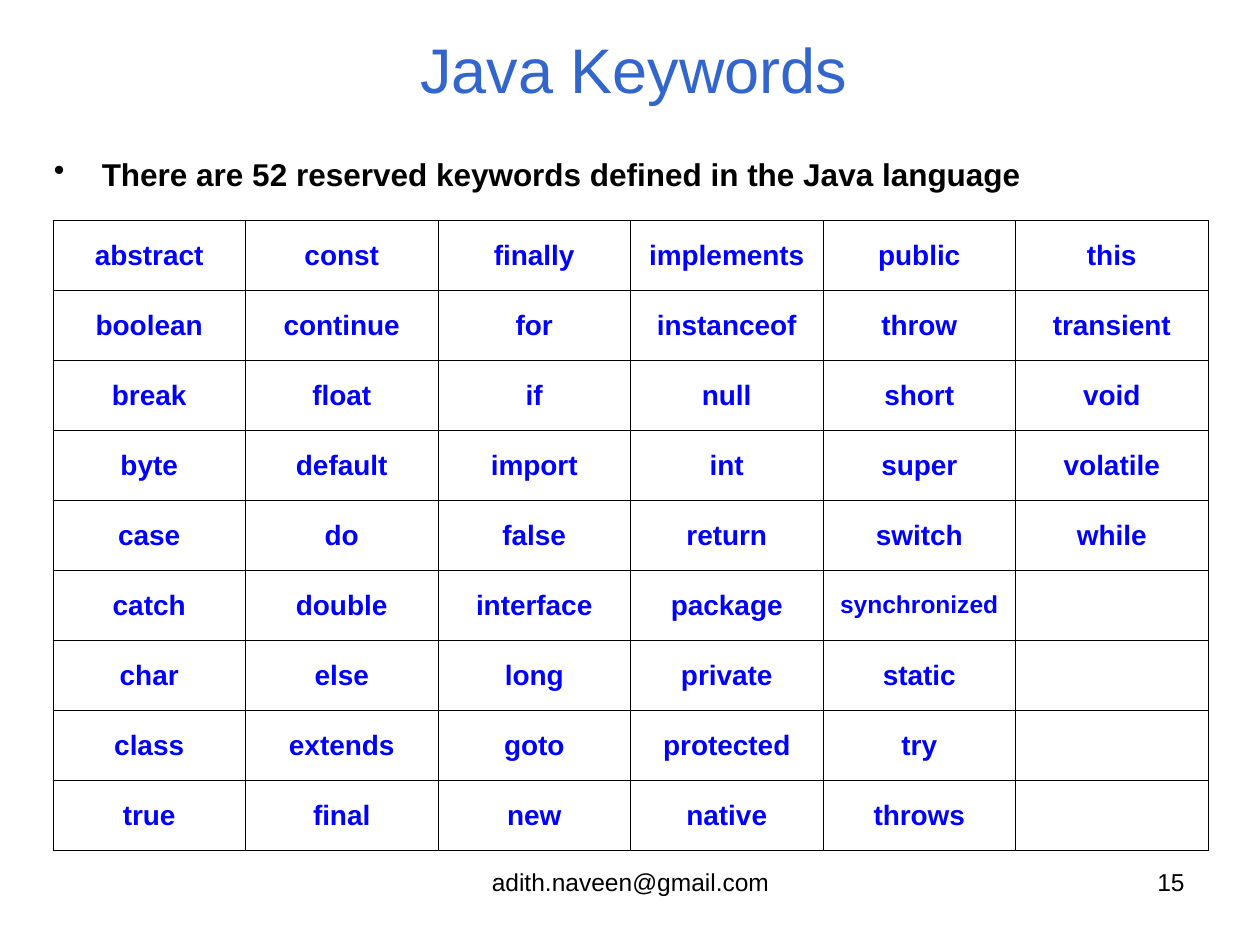
from pptx import Presentation, util as u
from pptx.dml.color import RGBColor
from pptx.enum import text
from pptx.oxml import parse_xml
from pptx.oxml.ns import nsdecls

KEYWORD_ROWS = """
abstract const finally implements public this
boolean continue for instanceof throw transient
break float if null short void
byte default import int super volatile
case do false return switch while
catch double interface package synchronized
char else long private static
class extends goto protected try
true final new native throws
"""
ALIGN = text.PP_ALIGN


def colour(value):
    return RGBColor.from_string(value)


def write(frame, words, size=16, fill="000000", bold=False, align=ALIGN.LEFT,
          anchor=text.MSO_ANCHOR.TOP, font="Arial", bullet=None, line_spacing=None):
    """Put one formatted paragraph, bulleted if asked, into a text frame."""
    frame.word_wrap = True
    frame.vertical_anchor = anchor
    para = frame.paragraphs[0]
    para.alignment = align
    if line_spacing:
        para.line_spacing = line_spacing
    if bullet:
        props = para._p.get_or_add_pPr()
        indent = u.Inches(0.38)
        props.set("marL", str(indent))
        props.set("indent", str(-indent))
        props.append(parse_xml(f'<a:buChar {nsdecls("a")} char="{bullet}"/>'))
    span = para.add_run()
    span.text = words
    span.font.name = font
    span.font.size = u.Pt(size)
    span.font.bold = bold
    span.font.color.rgb = colour(fill)


class Slide:
    def __init__(self, deck, font="Arial", accent="0000FF", border="000000"):
        self.page = deck.slides.add_slide(deck.slide_layouts[6])
        self.font, self.accent, self.border = font, accent, border

    def label(self, words, left, top, width, height, **style):
        box = self.page.shapes.add_textbox(
            *(u.Inches(n) for n in (left, top, width, height)))
        write(box.text_frame, words, font=self.font, **style)

    def outline(self, cell, width=0.45):
        props = cell._tc.get_or_add_tcPr()
        for side in "LRTB":
            props.append(parse_xml(
                f'<a:ln{side} {nsdecls("a")} w="{u.Pt(width)}"><a:solidFill>'
                f'<a:srgbClr val="{self.border}"/></a:solidFill></a:ln{side}>'))

    def grid(self, rows, left, top, width, height):
        """Add a bordered table; words too long for a column are set smaller."""
        columns = max(len(row) for row in rows)
        table = self.page.shapes.add_table(
            len(rows), columns,
            *(u.Inches(n) for n in (left, top, width, height))).table
        table.first_row = table.horz_banding = False
        for r, row in enumerate(rows):
            for c in range(columns):
                cell = table.cell(r, c)
                self.outline(cell)
                cell.fill.background()
                cell.vertical_anchor = text.MSO_ANCHOR.MIDDLE
                if c < len(row):
                    write(cell.text_frame, row[c], size=14 if len(row[c]) > 10 else 16,
                          fill=self.accent, bold=True, align=ALIGN.CENTER,
                          font=self.font, anchor=None)


def main():
    deck = Presentation()
    deck.slide_width, deck.slide_height = u.Inches(10), u.Inches(7.5)
    slide = Slide(deck)
    slide.label("adith.naveen@gmail.com", 3.42, 6.83, 3.17, 0.52,
                size=14, align=ALIGN.CENTER)
    slide.label("15", 7.17, 6.83, 2.33, 0.52, size=14, align=ALIGN.RIGHT)
    slide.label("Java Keywords", 0.34, 0.26, 9.38, 0.56, size=36, fill="3366CC",
                align=ALIGN.CENTER, anchor=text.MSO_ANCHOR.MIDDLE)
    slide.label("There are 52 reserved keywords defined in the Java language",
                0.33, 1.06, 9, 0.61, size=18, bold=True, bullet="•", line_spacing=1.4)
    rows = [line.split() for line in KEYWORD_ROWS.strip().splitlines()]
    slide.grid(rows, 0.42, 1.75, 9.17, 5)
    deck.save("out.pptx")


if __name__ == "__main__":
    main()
